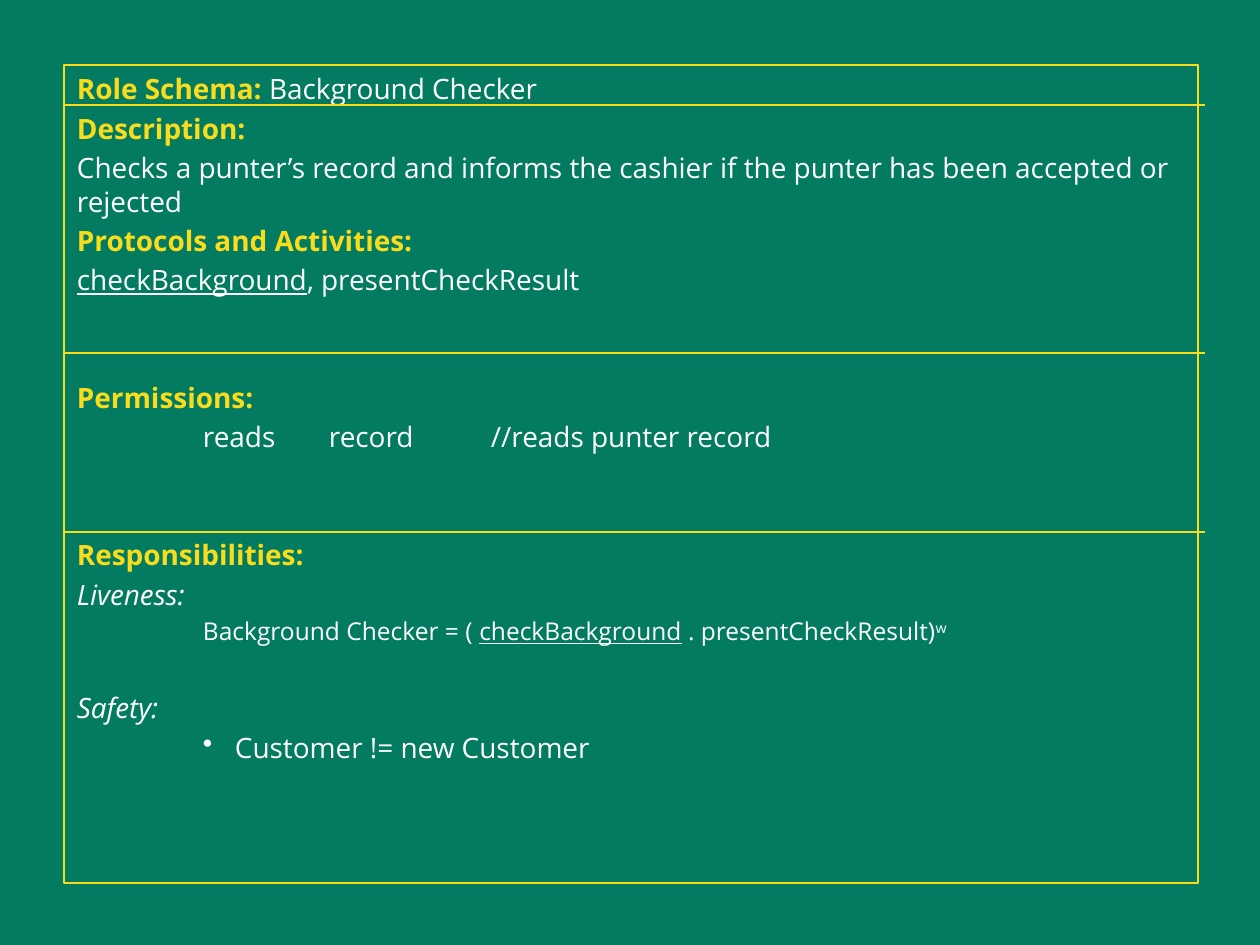
from lxml.etree import SubElement
from pptx import Presentation
from pptx.dml.color import RGBColor
from pptx.enum.shapes import MSO_CONNECTOR
from pptx.enum.text import MSO_ANCHOR, MSO_AUTO_SIZE
from pptx.oxml.ns import qn
from pptx.util import Pt

PX = 914400 // 126
GREEN, YELLOW, WHITE = "027B60", "F9DC1C", "FFFFFF"
FONT = "Open Sans"
GAP, BLANK_LINE = 3.3, 22.4
TAB_STOPS = (126, 252, 414)
FRAME = (64, 65, 1134, 818)
RULE_RIGHT = 1205
RULE_TOPS = (105, 353, 532)

# Each paragraph: blank lines above, left margin, hanging indent, size, spans
SCHEMA = [
    (0, 0, 0, 16, [("Role Schema: ", "heading"), ("Background Checker", "")]),
    (0, 0, 0, 16, [("Description:", "heading")]),
    (0, 0, 0, 16, [("Checks a punter’s record and informs the cashier if the punter "
                    "has been accepted or rejected", "")]),
    (0, 0, 0, 16, [("Protocols and Activities:", "heading")]),
    (0, 0, 0, 16, [("checkBackground", "activity"), (", presentCheckResult", "")]),
    (2, 0, 0, 16, [("Permissions:", "heading")]),
    (0, 0, 0, 16, [("\treads\trecord\t//reads punter record", "")]),
    (2, 0, 0, 16, [("Responsibilities:", "heading")]),
    (0, 0, 0, 16, [("Liveness:", "label")]),
    (0, 126, 0, 14, [("Background Checker = ( ", ""), ("checkBackground", "activity"),
                     (" . presentCheckResult)", ""), ("w", "power")]),
    (1, 0, 0, 16, [("Safety:", "label")]),
    (0, 158, 32, 16, [("Customer != new Customer", "")]),
]


def color(value):
    return RGBColor.from_string(value)


def set_indent(paragraph, margin, hanging):
    properties = paragraph._p.get_or_add_pPr()
    if margin:
        properties.set("marL", str(margin * PX))
    if hanging:
        properties.set("indent", str(-hanging * PX))
        SubElement(properties, qn("a:buChar"), char="•")


def set_tabs(paragraph):
    stops = SubElement(paragraph._p.get_or_add_pPr(), qn("a:tabLst"))
    for stop in TAB_STOPS:
        SubElement(stops, qn("a:tab"), pos=str(stop * PX), algn="l")


def add_span(paragraph, text, style, size):
    span = paragraph.add_run()
    span.text = text
    font = span.font
    font.name, font.size = FONT, Pt(size)
    font.bold = style == "heading"
    font.italic = style == "label"
    font.underline = style == "activity"
    font.color.rgb = color(YELLOW if style == "heading" else WHITE)
    if style == "power":
        span._r.get_or_add_rPr().set("baseline", "30000")


def add_schema(page):
    box = page.shapes.add_textbox(*(value * PX for value in FRAME))
    box.line.color.rgb = color(YELLOW)
    box.line.width = Pt(0.75)
    frame = box.text_frame
    frame.word_wrap = True
    frame.auto_size = MSO_AUTO_SIZE.NONE
    frame.vertical_anchor = MSO_ANCHOR.TOP
    frame.margin_left = frame.margin_right = 13 * PX
    frame.margin_top = 7 * PX
    for index, (blanks, margin, hanging, size, spans) in enumerate(SCHEMA):
        paragraph = frame.add_paragraph() if index else frame.paragraphs[0]
        set_indent(paragraph, margin, hanging)
        if "\t" in spans[0][0]:
            set_tabs(paragraph)
        for text, style in spans:
            add_span(paragraph, text, style, size)
        paragraph.space_before = Pt(GAP + blanks * BLANK_LINE if index else 0)


def add_rule(page, top):
    rule = page.shapes.add_connector(
        MSO_CONNECTOR.STRAIGHT, FRAME[0] * PX, top * PX, RULE_RIGHT * PX, top * PX)
    rule.line.color.rgb = color(YELLOW)
    rule.line.width = Pt(0.75)
    SubElement(rule._element.spPr, qn("a:effectLst"))


def main():
    deck = Presentation()
    deck.slide_width, deck.slide_height = 1260 * PX, 945 * PX
    page = deck.slides.add_slide(deck.slide_layouts[6])
    page.background.fill.solid()
    page.background.fill.fore_color.rgb = color(GREEN)
    add_schema(page)
    for top in RULE_TOPS:
        add_rule(page, top)
    deck.save("out.pptx")


if __name__ == "__main__":
    main()
